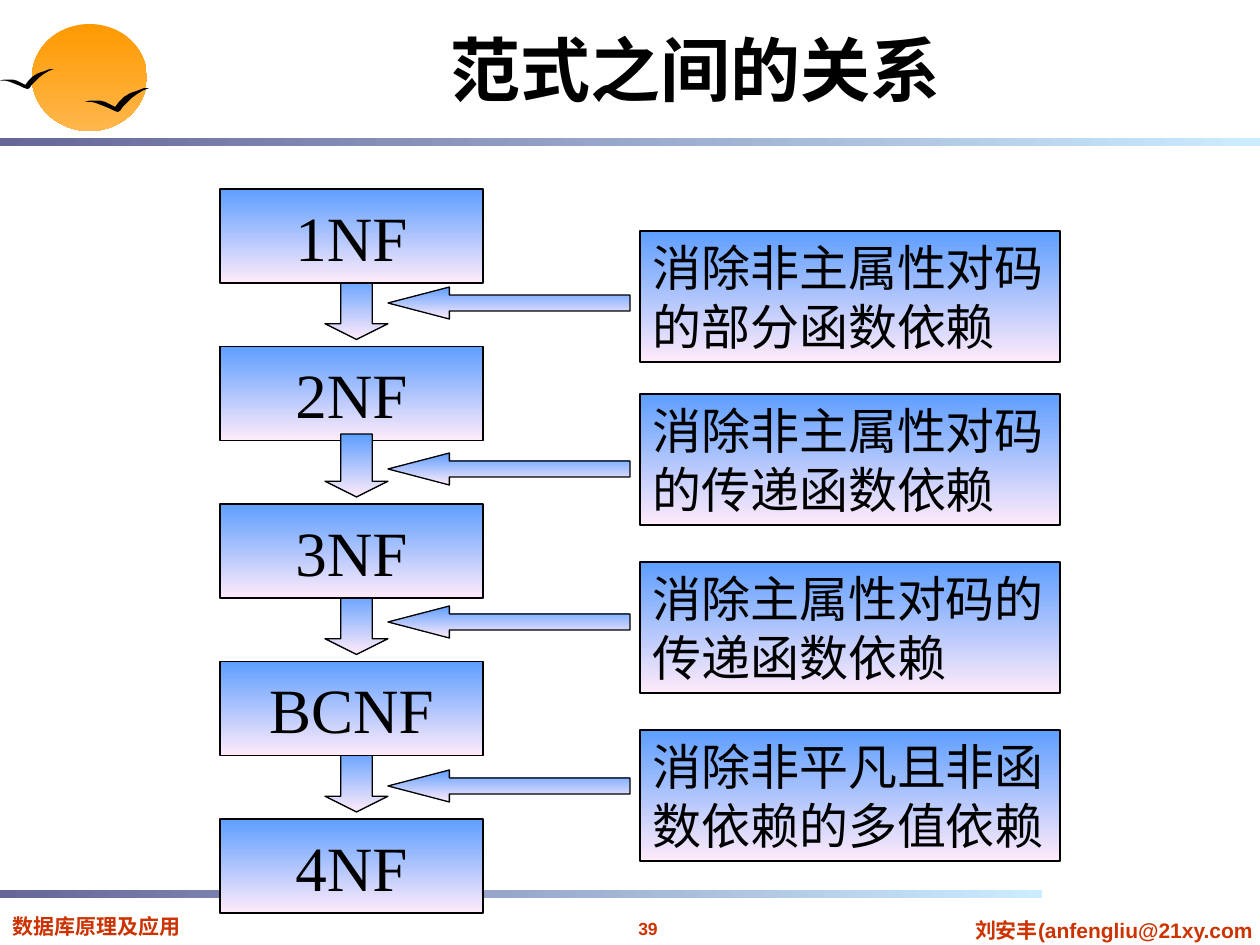
from pptx import Presentation, util as u
from pptx.dml.color import RGBColor
from pptx.enum import shapes as s, text as t

PX = 914400 / 126
BLACK = RGBColor(0x00, 0x00, 0x00)
RED = RGBColor(0xCC, 0x33, 0x00)
BLUE_PINK = RGBColor(0x5E, 0x9E, 0xFF), RGBColor(0xFF, 0xEB, 0xFA)
PURPLE_SKY = RGBColor(0x66, 0x66, 0x99), RGBColor(0xCC, 0xEC, 0xFF)
SUN_ORANGE = RGBColor(0xFF, 0x99, 0x00), RGBColor(0xFF, 0xB7, 0x4C)

deck = Presentation()
deck.slide_width, deck.slide_height = u.Inches(10), u.Inches(7.5)
slide = deck.slides.add_slide(deck.slide_layouts[6])


def add_block(preset, box, colors, angle=270, outlined=True, adjust=()):
    block = slide.shapes.add_shape(preset, *[round(v * PX) for v in box])
    block.shadow.inherit = False
    block.fill.gradient()
    block.fill.gradient_angle = angle
    for stop, color in zip(block.fill.gradient_stops, colors):
        stop.color.rgb = color
    if outlined:
        block.line.color.rgb = BLACK
        block.line.width = u.Pt(0.75)
    else:
        block.line.fill.background()
    for i, value in enumerate(adjust):
        block.adjustments[i] = value
    return block


def write(words, block=None, box=None, size=12, font="Arial", color=RED, bold=False,
          align=t.PP_ALIGN.CENTER, anchor=t.MSO_ANCHOR.TOP, wrap=False,
          fit=t.MSO_AUTO_SIZE.NONE):
    if block is None:
        block = slide.shapes.add_textbox(*[round(v * PX) for v in box])
    frame = block.text_frame
    frame.word_wrap = wrap
    frame.auto_size = fit
    frame.vertical_anchor = anchor
    paragraph = frame.paragraphs[0]
    paragraph.alignment = align
    run = paragraph.add_run()
    run.text = words
    run.font.size, run.font.name, run.font.bold = u.Pt(size), font, bold
    run.font.color.rgb = color


# Sun with two birds, outlined in hundredths of an inch
add_block(s.MSO_SHAPE.OVAL, (32, 24, 115, 107), SUN_ORANGE, outlined=False)
BIRD = [(0, 11), (4, 10), (8, 10), (12, 10), (16, 11), (20, 13), (24, 15), (27, 11),
        (31, 7), (36, 4), (42, 2), (47, 0), (51, 0), (46, 2), (41, 5), (37, 8),
        (33, 12), (30, 15), (28, 18), (26, 19), (23, 18), (19, 16), (14, 14),
        (9, 12), (5, 11)]
for left, top, size in ((0, 69, 0.84), (85, 88, 1)):
    outline = slide.shapes.build_freeform(*BIRD[0], scale=9144 * size)
    outline.add_line_segments(BIRD[1:], close=True)
    bird = outline.convert_to_shape(round(left * PX), round(top * PX))
    bird.shadow.inherit = False
    bird.fill.solid()
    bird.fill.fore_color.rgb = BLACK
    bird.line.fill.background()

# Footer, rules and title
FIT = t.MSO_AUTO_SIZE.SHAPE_TO_FIT_TEXT
write("刘安丰(anfengliu@21xy.com", box=(959, 911, 310, 38), bold=True, fit=FIT)
write("39", box=(593, 912, 110, 34), size=10, bold=True, fit=FIT)
write("数据库原理及应用", box=(0, 907, 252, 38), bold=True,
      align=t.PP_ALIGN.LEFT, wrap=True, fit=FIT)
for top, width in ((138, 1260), (890, 1042)):
    add_block(s.MSO_SHAPE.RECTANGLE, (0, top, width, 8), PURPLE_SKY, angle=0, outlined=False)
write("范式之间的关系", box=(158, 9, 1075, 108), size=40, font="Noto Sans CJK SC",
      color=BLACK, bold=True, anchor=t.MSO_ANCHOR.BOTTOM, wrap=True)

# Normal forms, each with the arrow leading into it; the order sets the overlaps
FORMS = ["1NF", "2NF", "3NF", "BCNF", "4NF"]
for step in (1, 0, 4, 3, 2):
    form_top = 189 + 315 * step / 2
    form = add_block(s.MSO_SHAPE.RECTANGLE, (220, form_top, 263, 94), BLUE_PINK)
    write(FORMS[step], form, size=36, font="Times New Roman", color=BLACK,
          anchor=t.MSO_ANCHOR.MIDDLE)
    if step:
        add_block(s.MSO_SHAPE.DOWN_ARROW, (325, form_top - 70, 63, 63), BLUE_PINK,
                  adjust=(0.5, 0.25))

# What each step removes
REMOVALS = [
    ("消除非主属性对码的部分函数依赖", 231, 287),
    ("消除非主属性对码的传递函数依赖", 394, 453),
    ("消除主属性对码的传递函数依赖", 562, 606),
    ("消除非平凡且非函数依赖的多值依赖", 730, 770),
]
for words, removal_top, arrow_top in REMOVALS:
    removal = add_block(s.MSO_SHAPE.RECTANGLE, (640, removal_top, 420, 131), BLUE_PINK)
    write(words, removal, size=28, font="Times New Roman", color=BLACK,
          align=t.PP_ALIGN.LEFT, anchor=t.MSO_ANCHOR.MIDDLE, wrap=True)
    add_block(s.MSO_SHAPE.LEFT_ARROW, (388, arrow_top, 242, 32), BLUE_PINK,
              adjust=(0.5, 1.92))

deck.save("out.pptx")
